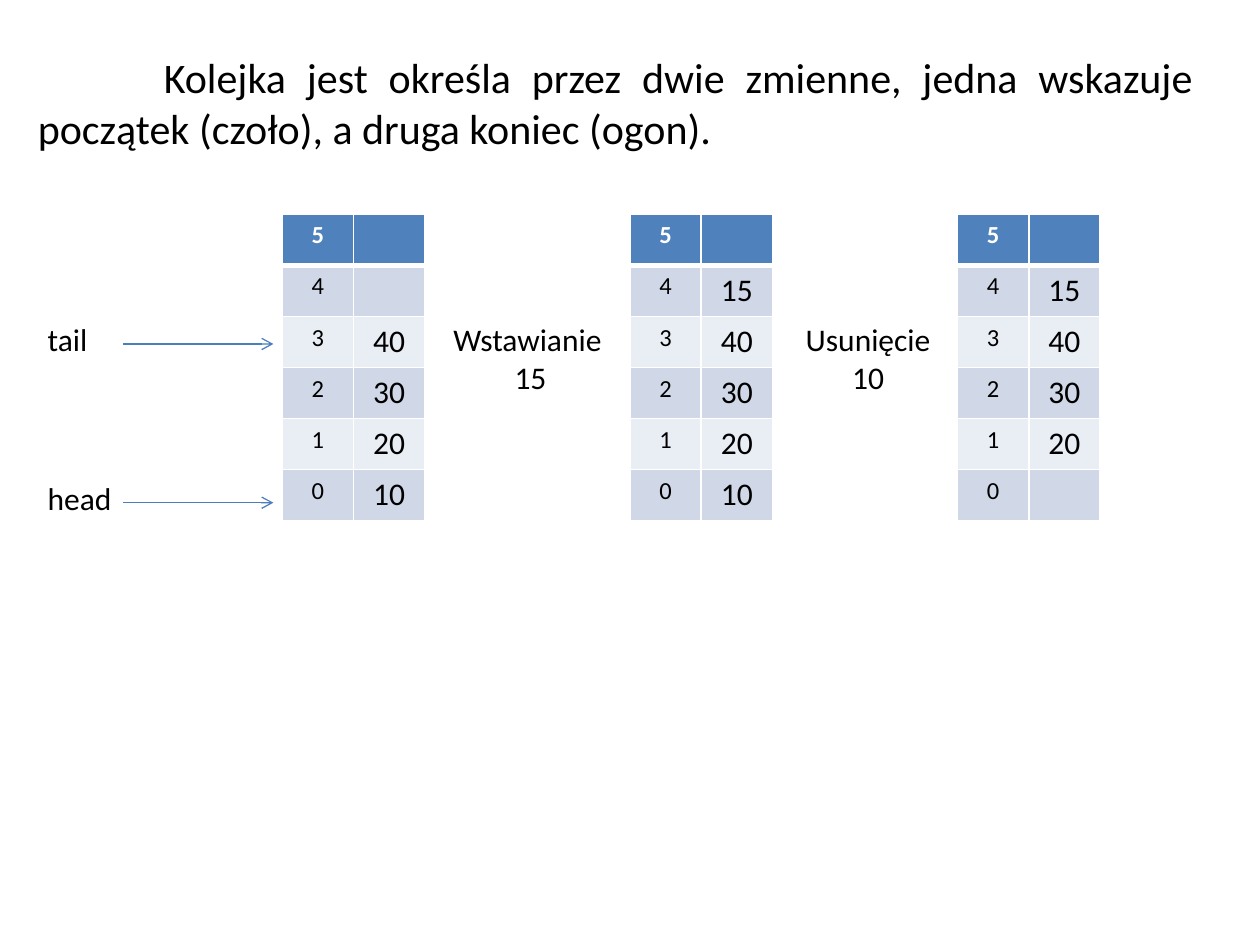
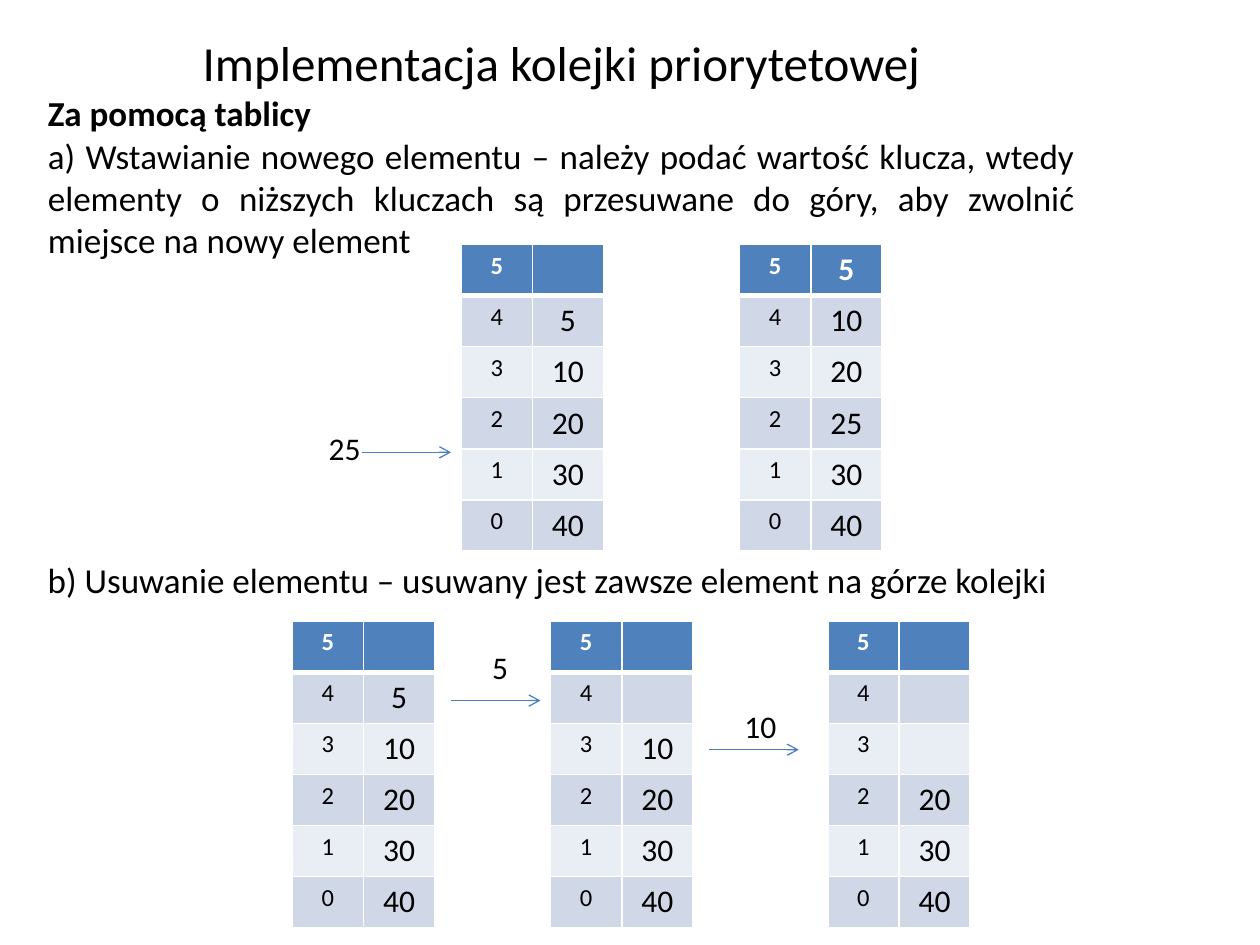
from dataclasses import dataclass

from lxml import etree
from pptx import Presentation
from pptx.dml.color import RGBColor
from pptx.enum.shapes import MSO_CONNECTOR
from pptx.enum.text import MSO_ANCHOR, MSO_AUTO_SIZE, PP_ALIGN
from pptx.oxml.ns import qn
from pptx.util import Inches, Pt

LEFT, CENTER, RIGHT = PP_ALIGN.LEFT, PP_ALIGN.CENTER, PP_ALIGN.RIGHT
JUSTIFY = PP_ALIGN.JUSTIFY
TOP = MSO_ANCHOR.TOP
NO_FIT = MSO_AUTO_SIZE.NONE
STRAIGHT = MSO_CONNECTOR.STRAIGHT
TITLE_AND_CONTENT, TITLE_ONLY = 1, 5


@dataclass(frozen=True)
class Theme:
    font: str = "Calibri"
    text: str = "000000"
    white: str = "FFFFFF"
    header: str = "4F81BD"
    bands: tuple[str, str] = ("D0D8E8", "E9EDF4")
    arrow: str = "4B7EBC"
    title_size: int = 28
    statement_size: int = 24
    body_size: int = 20
    label_size: int = 18
    index_size: int = 14
    arrow_width: float = 0.75
    border: float = 1
    header_border: float = 3


@dataclass(frozen=True)
class Queue:
    left: float
    top: float
    values: tuple[str, ...]


@dataclass(frozen=True)
class Label:
    left: float
    top: float
    width: float
    height: float
    lines: tuple[str, ...]
    alignments: tuple[PP_ALIGN, ...] = (LEFT,)
    size: int = 18


@dataclass(frozen=True)
class Arrow:
    left: float
    right: float
    y: float


THEME = Theme()
QUEUE_WIDTH, QUEUE_HEIGHT = 1.13, 2.43
MARGIN = 0.28

STATEMENT = (
    "Kolejka jest określa przez dwie zmienne, jedna wskazuje "
    "początek (czoło), a druga koniec (ogon)."
)
FIFO_TOP = 1.7
FIFO_QUEUES = (
    Queue(2.24, FIFO_TOP, ("", "", "40", "30", "20", "10")),
    Queue(5, FIFO_TOP, ("", "15", "40", "30", "20", "10")),
    Queue(7.6, FIFO_TOP, ("", "15", "40", "30", "20", "")),
)
FIFO_LABELS = (
    Label(MARGIN, 2.49, 0.79, 0.4, ("tail",)),
    Label(MARGIN, 3.75, 0.79, 0.4, ("head",)),
    Label(3.5, 2.49, 1.42, 0.71, ("Wstawianie", "15"), (LEFT, CENTER)),
    Label(6.26, 2.49, 1.26, 0.71, ("Usunięcie", "10"), (CENTER, CENTER)),
)
FIFO_ARROWS = (Arrow(0.98, 2.17, 2.73), Arrow(0.98, 2.17, 3.99))

PRIORITY_TITLE = "Implementacja kolejki priorytetowej"
ARRAY_HEADING = "Za pomocą tablicy"
INSERTION = (
    "a) Wstawianie nowego elementu – należy podać wartość klucza, wtedy "
    "elementy o niższych kluczach są przesuwane do góry, aby zwolnić "
    "miejsce na nowy element"
)
REMOVAL = "b) Usuwanie elementu – usuwany jest zawsze element na górze kolejki"
INSERT_TOP, REMOVE_TOP = 1.94, 4.93
PRIORITY_QUEUES = (
    Queue(3.66, INSERT_TOP, ("", "5", "10", "20", "30", "40")),
    Queue(5.87, INSERT_TOP, ("5", "10", "20", "25", "30", "40")),
    Queue(2.32, REMOVE_TOP, ("", "5", "10", "20", "30", "40")),
    Queue(4.37, REMOVE_TOP, ("", "", "10", "20", "30", "40")),
    Queue(6.57, REMOVE_TOP, ("", "", "", "20", "30", "40")),
)
PRIORITY_LABELS = (
    Label(2.09, 3.36, 0.87, 0.4, ("25",), (RIGHT,)),
    Label(MARGIN, 4.38, 9.45, 0.44, (REMOVAL,), size=THEME.body_size),
    Label(3.74, 5.09, 0.39, 0.4, ("5",), (RIGHT,)),
    Label(5.71, 5.56, 0.55, 0.4, ("10",), (RIGHT,)),
)
PRIORITY_ARROWS = (
    Arrow(2.87, 3.58, 3.59),
    Arrow(3.58, 4.29, 5.56),
    Arrow(5.63, 6.34, 5.95),
)


def format_paragraph(
    paragraph, size: int, alignment: PP_ALIGN, color: str = THEME.text, bold: bool = False
) -> None:
    paragraph.alignment = alignment
    for run in paragraph.runs:
        run.font.name = THEME.font
        run.font.size = Pt(size)
        run.font.bold = bold
        run.font.color.rgb = RGBColor.from_string(color)


def place(shape, left: float, top: float, width: float, height: float) -> None:
    shape.left, shape.top = Inches(left), Inches(top)
    shape.width, shape.height = Inches(width), Inches(height)
    shape.text_frame.word_wrap = True
    shape.text_frame.auto_size = NO_FIT
    shape.text_frame.vertical_anchor = TOP


def set_border(cell, side: str, width: float) -> None:
    line = etree.Element(qn(f"a:ln{side}"), w=str(Pt(width)))
    fill = etree.SubElement(line, qn("a:solidFill"))
    etree.SubElement(fill, qn("a:srgbClr"), val=THEME.white)
    properties = cell._tc.get_or_add_tcPr()
    properties.insert("LRTB".index(side), line)


def draw_queue(slide, queue: Queue) -> None:
    count = len(queue.values)
    table = slide.shapes.add_table(
        count, 2, Inches(queue.left), Inches(queue.top),
        Inches(QUEUE_WIDTH), Inches(QUEUE_HEIGHT),
    ).table
    for row, value in enumerate(queue.values):
        is_header = row == 0
        fill = THEME.header if is_header else THEME.bands[(row - 1) % 2]
        color = THEME.white if is_header else THEME.text
        entries = ((str(count - 1 - row), THEME.index_size), (value, THEME.label_size))
        for column, (text, size) in enumerate(entries):
            cell = table.cell(row, column)
            cell.fill.solid()
            cell.fill.fore_color.rgb = RGBColor.from_string(fill)
            cell.text_frame.text = text
            format_paragraph(cell.text_frame.paragraphs[0], size, CENTER, color, is_header)
            for side in "LRTB":
                below_header = (row, side) in ((0, "B"), (1, "T"))
                set_border(cell, side, THEME.header_border if below_header else THEME.border)


def draw_label(slide, label: Label) -> None:
    bounds = (label.left, label.top, label.width, label.height)
    shape = slide.shapes.add_textbox(*map(Inches, bounds))
    place(shape, *bounds)
    shape.text_frame.text = "\n".join(label.lines)
    for paragraph, alignment in zip(shape.text_frame.paragraphs, label.alignments):
        format_paragraph(paragraph, label.size, alignment)


def draw_arrow(slide, arrow: Arrow) -> None:
    y = Inches(arrow.y)
    connector = slide.shapes.add_connector(
        STRAIGHT, Inches(arrow.left), y, Inches(arrow.right), y
    )
    connector.line.color.rgb = RGBColor.from_string(THEME.arrow)
    connector.line.width = Pt(THEME.arrow_width)
    etree.SubElement(connector.line._get_or_add_ln(), qn("a:tailEnd"), type="arrow")
    etree.SubElement(connector._element.spPr, qn("a:effectLst"))


def draw_diagram(
    slide, queues: tuple[Queue, ...], labels: tuple[Label, ...], arrows: tuple[Arrow, ...]
) -> None:
    for queue in queues:
        draw_queue(slide, queue)
    for label in labels:
        draw_label(slide, label)
    for arrow in arrows:
        draw_arrow(slide, arrow)


def add_fifo_slide(presentation) -> None:
    slide = presentation.slides.add_slide(presentation.slide_layouts[TITLE_ONLY])
    statement = slide.shapes.title
    place(statement, 0.2, 0.36, 9.37, 0.91)
    statement.text_frame.text = STATEMENT
    paragraph = statement.text_frame.paragraphs[0]
    paragraph._p.get_or_add_pPr().set("indent", str(Inches(1)))
    format_paragraph(paragraph, THEME.statement_size, JUSTIFY)
    draw_diagram(slide, FIFO_QUEUES, FIFO_LABELS, FIFO_ARROWS)


def add_priority_slide(presentation) -> None:
    slide = presentation.slides.add_slide(presentation.slide_layouts[TITLE_AND_CONTENT])
    title, body = slide.shapes.title, slide.placeholders[1]
    place(title, MARGIN, 0.21, 8.35, 0.52)
    title.text_frame.text = PRIORITY_TITLE
    format_paragraph(title.text_frame.paragraphs[0], THEME.title_size, CENTER)

    place(body, MARGIN, 0.73, 8.35, 1.4)
    body.text_frame.margin_top = 0
    body.text_frame.text = f"{ARRAY_HEADING}\n{INSERTION}"
    for paragraph in body.text_frame.paragraphs:
        properties = paragraph._p.get_or_add_pPr()
        properties.set("marL", "0")
        properties.set("indent", "0")
        etree.SubElement(properties, qn("a:buNone"))
        paragraph.space_before = Pt(0)
        is_heading = paragraph.text == ARRAY_HEADING
        format_paragraph(paragraph, THEME.body_size, JUSTIFY, bold=is_heading)
    draw_diagram(slide, PRIORITY_QUEUES, PRIORITY_LABELS, PRIORITY_ARROWS)


def main() -> None:
    presentation = Presentation()
    presentation.slide_width = Inches(10)
    presentation.slide_height = Inches(7.5)
    add_fifo_slide(presentation)
    add_priority_slide(presentation)
    presentation.save("out.pptx")


if __name__ == "__main__":
    main()
